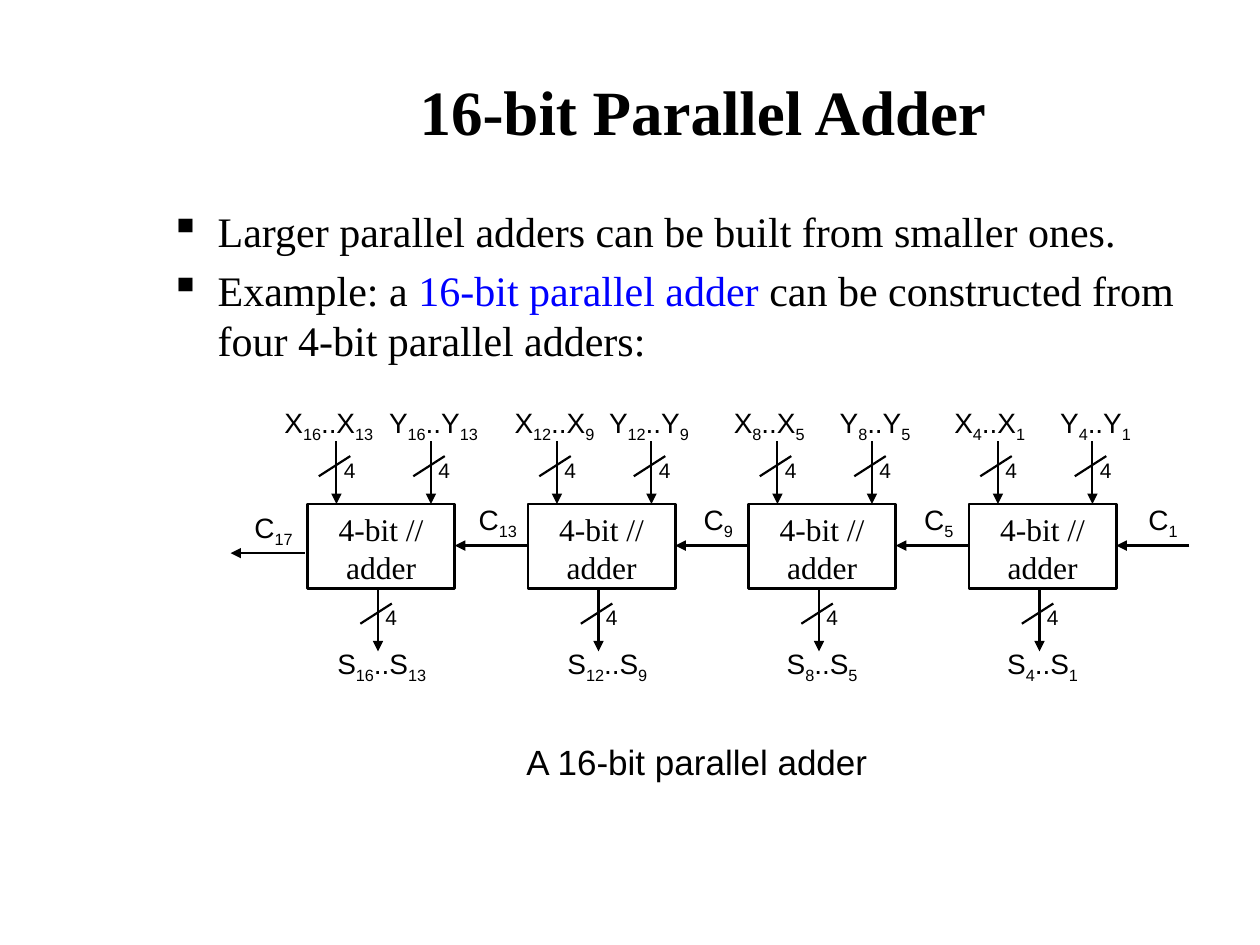
from lxml import etree
from pptx import Presentation
from pptx.dml.color import RGBColor
from pptx.enum.dml import MSO_FILL
from pptx.enum.shapes import MSO_CONNECTOR, MSO_SHAPE
from pptx.enum.text import MSO_ANCHOR, MSO_AUTO_SIZE, PP_ALIGN
from pptx.oxml.ns import qn
from pptx.util import Inches, Pt

CENTER, LEFT = PP_ALIGN.CENTER, PP_ALIGN.LEFT
TOP, MIDDLE = MSO_ANCHOR.TOP, MSO_ANCHOR.MIDDLE
NO_FIT = MSO_AUTO_SIZE.NONE
STRAIGHT, RECTANGLE = MSO_CONNECTOR.STRAIGHT, MSO_SHAPE.RECTANGLE
SERIF, SANS = "Times New Roman", "Arial"
BLACK, BLUE = "000000", "0000FF"
color = RGBColor.from_string


def add_label(shapes, left, top, width, height, parts, size=16, align=CENTER):
    """Every second part is set as a subscript."""
    box = shapes.add_textbox(Inches(left), Inches(top), Inches(width), Inches(height))
    box.text_frame.word_wrap = True
    para = box.text_frame.paragraphs[0]
    para.alignment = align
    for index, part in enumerate(parts):
        span = para.add_run()
        span.text = part
        span.font.size = Pt(size)
        span.font.name = SANS
        span.font.color.rgb = color(BLACK)
        if index % 2:
            span.font._element.set("baseline", "-25000")


def add_line(shapes, x1, y1, x2, y2, arrow=True):
    line = shapes.add_connector(STRAIGHT, Inches(x1), Inches(y1), Inches(x2), Inches(y2))
    line.line.color.rgb = color(BLACK)
    line.line.width = Pt(1.25)
    if arrow:
        etree.SubElement(line.line._get_or_add_ln(), qn("a:tailEnd"), type="triangle")
    etree.SubElement(line._element.spPr, qn("a:effectLst"))


deck = Presentation()
deck.slide_width, deck.slide_height = Inches(10), Inches(7.5)
page = deck.slides.add_slide(deck.slide_layouts[5])

# Title
title = page.shapes.title
title.left, title.top = Inches(1.33), Inches(0.25)
title.width, title.height = Inches(8.5), Inches(1.25)
title.text_frame.vertical_anchor = MIDDLE
title.text_frame.auto_size = NO_FIT
para = title.text_frame.paragraphs[0]
para.alignment = CENTER
span = para.add_run()
span.text = "16-bit Parallel Adder"
span.font.size, span.font.bold, span.font.name = Pt(36), True, SERIF
span.font.color.rgb = color(BLACK)

# Bullet points
points = [
    [("Larger parallel adders can be built from smaller ones.", BLACK)],
    [("Example: a ", BLACK), ("16-bit parallel adder", BLUE),
     (" can be constructed from four 4-bit parallel adders:", BLACK)],
]
body = page.shapes.add_textbox(Inches(1.25), Inches(1.58), Inches(8.5), Inches(1.42))
body.text_frame.word_wrap = True
for index, point in enumerate(points):
    para = body.text_frame.add_paragraph() if index else body.text_frame.paragraphs[0]
    para.space_before = Pt(4.8 * index)
    properties = para._p.get_or_add_pPr()
    properties.set("marL", str(Inches(0.38)))
    properties.set("indent", str(-Inches(0.38)))
    bullet_color = etree.SubElement(properties, qn("a:buClr"))
    etree.SubElement(bullet_color, qn("a:srgbClr"), val=BLACK)
    etree.SubElement(properties, qn("a:buChar"), char="▪")
    for text, shade in point:
        span = para.add_run()
        span.text = text
        span.font.size, span.font.name = Pt(24), SERIF
        span.font.color.rgb = color(shade)

# Four adder stages: high bit, low bit, label width, left offsets of X, Y, S and C labels
stages = [
    ("16", "13", 1.0, -0.33, 0.5, 0.09, 1.22),
    ("12", "9", 0.92, -0.25, 0.5, 0.17, 1.22),
    ("8", "5", 0.83, -0.25, 0.59, 0.17, 1.22),
    ("4", "1", 0.83, -0.25, 0.59, 0.17, 1.25),
]
diagram = page.shapes.add_group_shape().shapes
for index, (high, low, width, x_left, y_left, s_left, c_left) in enumerate(stages):
    left = 2.44 + 1.75 * index

    # Adder box
    box = diagram.add_shape(RECTANGLE, Inches(left), Inches(4), Inches(1.17), Inches(0.67))
    box.shadow.inherit = False
    box.fill.background()
    box.line.color.rgb = color(BLACK)
    box.line.width = Pt(1.5)
    frame = box.text_frame
    frame.word_wrap = True
    frame.vertical_anchor = TOP
    frame.margin_bottom = 0
    para = frame.paragraphs[0]
    para.alignment = CENTER
    span = para.add_run()
    span.text = "4-bit // adder"
    span.font.size, span.font.name = Pt(18), SERIF
    span.font.color.rgb = color(BLACK)

    # Operand and sum labels
    for letter, offset, top in (("X", x_left, 3.17), ("Y", y_left, 3.17), ("S", s_left, 5.08)):
        parts = [letter, high, ".." + letter, low]
        add_label(diagram, left + offset, top, width, 0.37, parts)

    # Four-wire buses: arrow, slash and wire count
    for offset, top in ((0.23, 3.5), (0.98, 3.5), (0.56, 4.67)):
        x = left + offset
        add_line(diagram, x, top, x, top + 0.5)
        add_line(diagram, x + 0.11, top + 0.12, x - 0.14, top + 0.28, arrow=False)
        add_label(diagram, x - 0.06, top + 0.08, 0.33, 0.3, ["4"], size=12)

    # Carry in
    add_line(diagram, left + 1.75, 4.33, left + 1.17, 4.33)
    add_label(diagram, left + c_left, 3.94, 0.58, 0.37, ["C", low])

# Carry out
add_line(diagram, 2.42, 4.39, 1.83, 4.39)
add_label(diagram, 1.88, 4, 0.58, 0.37, ["C", "17"])

# Caption
add_label(page.shapes, 4.08, 5.83, 3, 0.43, ["A 16-bit parallel adder"], size=20, align=LEFT)

deck.save("out.pptx")
